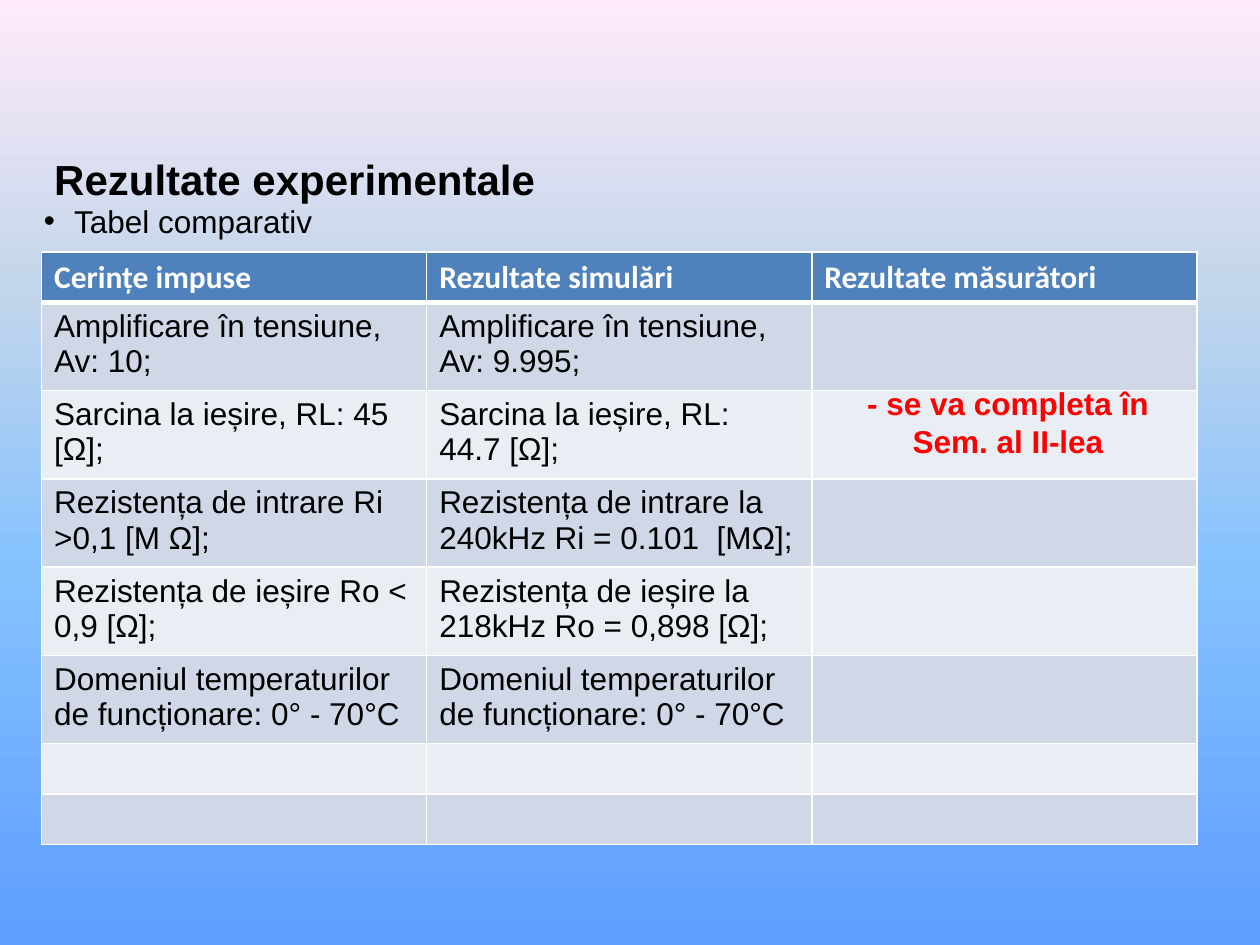
from lxml import etree
from pptx import Presentation
from pptx.dml.color import RGBColor
from pptx.enum.text import MSO_ANCHOR, PP_ALIGN
from pptx.oxml.ns import qn
from pptx.util import Inches, Pt

LEFT, CENTER, JUSTIFY = PP_ALIGN.LEFT, PP_ALIGN.CENTER, PP_ALIGN.JUSTIFY
TOP, MIDDLE = MSO_ANCHOR.TOP, MSO_ANCHOR.MIDDLE
TITLE_ONLY = 5

# Content
TITLE = "Rezultate experimentale"
SUBTITLE = "Tabel comparativ"
NOTE = "- se va completa în Sem. al II-lea"
HEADERS = ["Cerințe impuse", "Rezultate simulări", "Rezultate măsurători"]
RESULTS = [
    ("Amplificare în tensiune, Av: 10;", "Amplificare în tensiune, Av: 9.995;", ""),
    ("Sarcina la ieșire, RL: 45 [Ω];", "Sarcina la ieșire, RL: 44.7 [Ω];", ""),
    ("Rezistența de intrare Ri >0,1 [M Ω];",
     "Rezistența de intrare la 240kHz Ri = 0.101  [MΩ];", ""),
    ("Rezistența de ieșire Ro < 0,9 [Ω];",
     "Rezistența de ieșire la 218kHz Ro = 0,898 [Ω];", ""),
    ("Domeniul temperaturilor de funcționare: 0° - 70°C",
     "Domeniul temperaturilor de funcționare: 0° - 70°C", ""),
    ("", "", ""),
    ("", "", ""),
]

THEME = {
    "font": "Arial", "header_font": "Calibri",
    "title_size": 24, "body_size": 18,
    "text": "000000", "header_text": "FFFFFF", "note": "FF0000",
    "header_fill": "4F81BD", "bands": ("D0D8E8", "E9EDF4"), "border": "FFFFFF",
    "background": [(0, "5E9EFF"), (40, "85C2FF"), (70, "C4D6EB"), (100, "FFEBFA")],
}


def write(frame, text, size=THEME["body_size"], font=THEME["font"],
          color=THEME["text"], bold=False, align=LEFT, anchor=TOP):
    frame.word_wrap = True
    frame.vertical_anchor = anchor
    paragraph = frame.paragraphs[0]
    paragraph.alignment = align
    # An empty cell keeps its type size through the paragraph end
    target = paragraph.add_run() if text else paragraph
    if text:
        target.text = text
    target.font.size = Pt(size)
    target.font.name = font
    target.font.bold = bold
    target.font.color.rgb = RGBColor.from_string(color)
    return paragraph


def paint_background(slide):
    fill = slide.background.fill
    fill.gradient()
    fill.gradient_angle = 90
    stops = next(slide.element.iter(qn("a:gsLst")))
    for stop in list(stops):
        stops.remove(stop)
    for percent, color in THEME["background"]:
        stop = etree.SubElement(stops, qn("a:gs"), pos=str(percent * 1000))
        etree.SubElement(stop, qn("a:srgbClr"), val=color)


def add_borders(cell, **widths):
    properties = cell._tc.get_or_add_tcPr()
    for position, side in enumerate("LRTB"):
        line = etree.Element(qn(f"a:ln{side}"), w=str(Pt(widths.get(side, 1))))
        solid = etree.SubElement(line, qn("a:solidFill"))
        etree.SubElement(solid, qn("a:srgbClr"), val=THEME["border"])
        properties.insert(position, line)


def add_results_table(slide):
    rows = [HEADERS, *RESULTS]
    heights = [0.62 if row[0] else 0.35 for row in rows]
    heights[0] = 0.35
    table = slide.shapes.add_table(
        len(rows), len(HEADERS), Inches(0.33), Inches(2),
        Inches(9.17), Inches(sum(heights))).table
    for r, row in enumerate(rows):
        table.rows[r].height = Inches(heights[r])
        for c, text in enumerate(row):
            cell = table.cell(r, c)
            cell.fill.solid()
            if r == 0:
                write(cell.text_frame, text, font=THEME["header_font"],
                      color=THEME["header_text"], bold=True)
                color, borders = THEME["header_fill"], {"B": 3}
            else:
                write(cell.text_frame, text)
                color = THEME["bands"][(r - 1) % 2]
                borders = {"T": 3} if r == 1 else {}
            cell.fill.fore_color.rgb = RGBColor.from_string(color)
            add_borders(cell, **borders)


def add_text(slide, text, left, top, width, height, **style):
    box = slide.shapes.add_textbox(*map(Inches, (left, top, width, height)))
    return write(box.text_frame, text, **style)


def main():
    deck = Presentation()
    deck.slide_width, deck.slide_height = Inches(10), Inches(7.5)
    slide = deck.slides.add_slide(deck.slide_layouts[TITLE_ONLY])
    paint_background(slide)

    # Title
    title = slide.shapes.title
    title.left, title.top = Inches(0.33), Inches(1.17)
    title.width, title.height = Inches(8.5), Inches(0.5)
    write(title.text_frame, TITLE, size=THEME["title_size"], bold=True, anchor=MIDDLE)

    # Bulleted subtitle
    subtitle = add_text(slide, SUBTITLE, 0.25, 1.5, 9.33, 0.5,
                        align=JUSTIFY, anchor=MIDDLE)
    bullet = subtitle._p.get_or_add_pPr()
    bullet.set("marL", str(Inches(0.24)))
    bullet.set("indent", str(-Inches(0.24)))
    etree.SubElement(bullet, qn("a:buFont"), typeface=THEME["font"])
    etree.SubElement(bullet, qn("a:buChar"), char="•")

    # Comparison table and the note over its last column
    add_results_table(slide)
    add_text(slide, NOTE, 6.5, 3, 3, 0.71, color=THEME["note"], bold=True, align=CENTER)

    deck.save("out.pptx")


if __name__ == "__main__":
    main()
